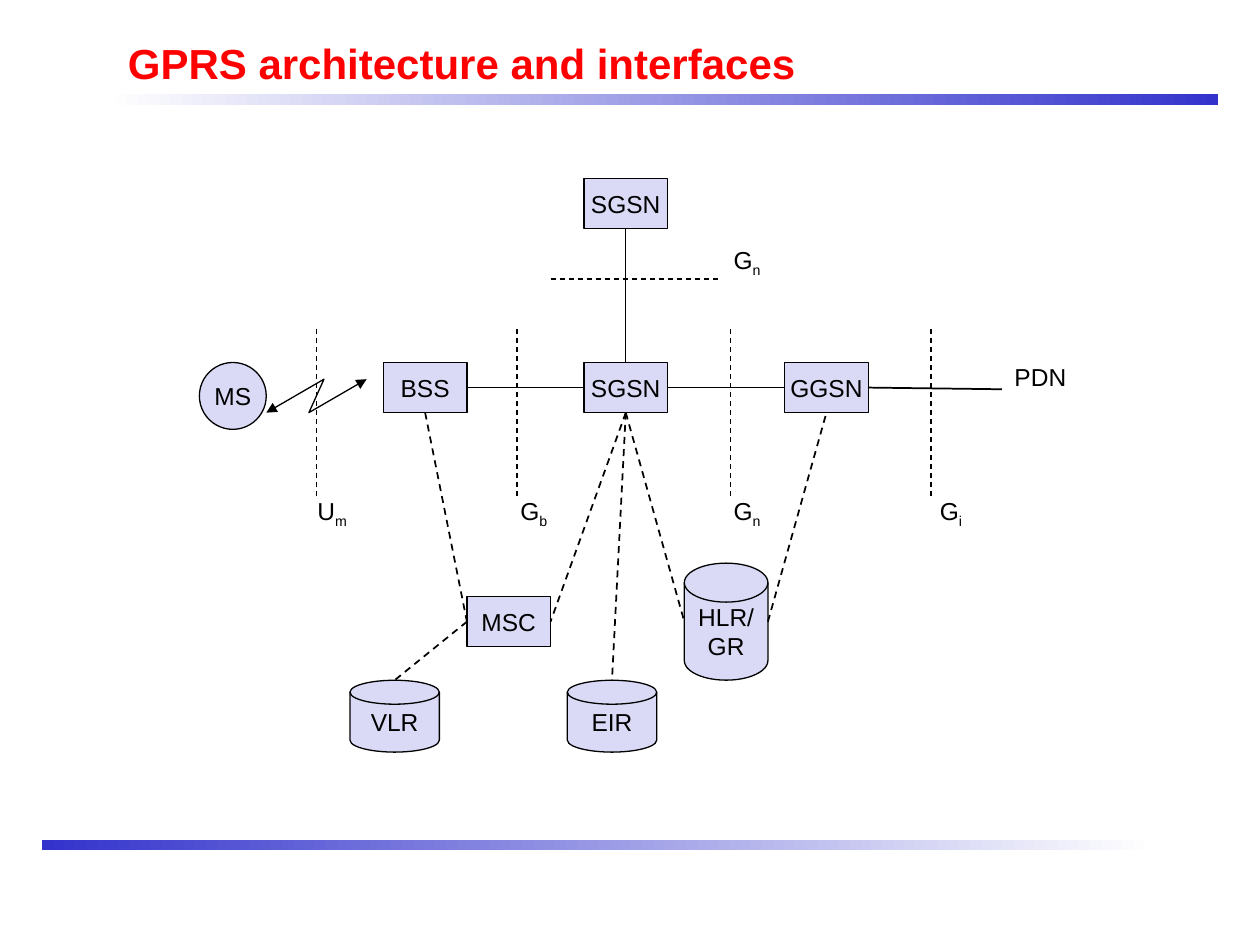
from lxml import etree
from pptx import Presentation
from pptx import util as u
from pptx.dml.color import RGBColor
from pptx.enum import dml, shapes, text
from pptx.oxml.ns import qn

BLACK = RGBColor(0x00, 0x00, 0x00)
WHITE = RGBColor(0xFF, 0xFF, 0xFF)
RED = RGBColor(0xFF, 0x00, 0x00)
BLUE = RGBColor(0x33, 0x33, 0xCC)
LAVENDER = RGBColor(0xDA, 0xDA, 0xF6)

FONT = "Arial"
RECT = shapes.MSO_SHAPE.RECTANGLE
DISK = shapes.MSO_SHAPE.FLOWCHART_MAGNETIC_DISK
TOP, LEFT, BOTTOM, RIGHT = range(4)
DIAGRAM_COLUMNS = 48  # grid units across the diagram box
LABEL_WIDTH, LABEL_HEIGHT = 4.5, 2.8  # interface labels, in grid units

# name: shape, label, then left, top, width, height in grid units
NODES = {
    "MS": (shapes.MSO_SHAPE.OVAL, "MS", 0, 11, 4, 4),
    "BSS": (RECT, "BSS", 11, 11, 5, 3),
    "SGSN": (RECT, "SGSN", 23, 11, 5, 3),
    "GGSN": (RECT, "GGSN", 35, 11, 5, 3),
    "upper SGSN": (RECT, "SGSN", 23, 0, 5, 3),
    "MSC": (RECT, "MSC", 16, 25, 5, 3),
    "HLR": (DISK, "HLR/\nGR", 29, 23, 5, 7),
    "VLR": (DISK, "VLR", 9, 30, 5.35, 4.3),
    "EIR": (DISK, "EIR", 22, 30, 5.35, 4.3),
}
# node and side at each end, width in points, dashed
LINKS = [
    ("BSS", RIGHT, "SGSN", LEFT, 0.75, False),
    ("GGSN", LEFT, "SGSN", RIGHT, 0.75, False),
    ("upper SGSN", BOTTOM, "SGSN", TOP, 0.75, False),
    ("BSS", BOTTOM, "MSC", LEFT, 1, True),
    ("MSC", LEFT, "VLR", TOP, 1, True),
    ("SGSN", BOTTOM, "MSC", RIGHT, 1, True),
    ("SGSN", BOTTOM, "EIR", TOP, 1, True),
    ("SGSN", BOTTOM, "HLR", LEFT, 1, True),
    ("HLR", RIGHT, "GGSN", BOTTOM, 1, True),
]
# letter, subscript, line start, line end, label right edge, label top
INTERFACES = [
    ("U", "m", (7, 19), (7, 9), 9.57, 18.6),
    ("G", "b", (19, 19), (19, 9), 21.55, 18.6),
    ("G", "n", (31.75, 19), (31.75, 9), 34.3, 18.6),
    ("G", "i", (43.75, 19), (43.75, 9), 46.35, 18.6),
    ("G", "n", (21, 6), (31, 6), 34.3, 3.6),
]


def add_run(paragraph, words, size=14, color=BLACK, bold=False, subscript=False):
    run = paragraph.add_run()
    run.text = words
    run.font.name, run.font.size = FONT, u.Pt(size)
    run.font.bold, run.font.color.rgb = bold, color
    if subscript:
        run._r.get_or_add_rPr().set("baseline", "-25000")


def add_label(slide, left, top, width, height, alignment):
    """Add an unwrapped text box and return its first paragraph."""
    frame = slide.shapes.add_textbox(left, top, width, height).text_frame
    frame.word_wrap = False
    paragraph = frame.paragraphs[0]
    paragraph.alignment = alignment
    return paragraph


def add_line(slide, start, end, width, dashed):
    line = slide.shapes.add_connector(shapes.MSO_CONNECTOR.STRAIGHT, *start, *end)
    line.line.color.rgb, line.line.width = BLACK, u.Pt(width)
    if dashed:
        line.line.dash_style = dml.MSO_LINE.DASH
    etree.SubElement(line._element.spPr, qn("a:effectLst"))
    return line


def add_bar(slide, left, top, width, height, colors):
    bar = slide.shapes.add_shape(RECT, left, top, width, height)
    bar.shadow.inherit = False
    bar.line.fill.background()
    bar.fill.gradient()
    bar.fill.gradient_angle = 0
    for stop, color in zip(bar.fill.gradient_stops, colors):
        stop.color.rgb = color


def add_node(slide, kind, label, left, top, width, height):
    node = slide.shapes.add_shape(kind, left, top, width, height)
    node.shadow.inherit = False
    node.fill.solid()
    node.fill.fore_color.rgb = LAVENDER
    node.line.color.rgb, node.line.width = BLACK, u.Pt(0.75)
    frame = node.text_frame
    frame.word_wrap = False
    frame.vertical_anchor = text.MSO_ANCHOR.MIDDLE
    for index, words in enumerate(label.split("\n")):
        paragraph = frame.add_paragraph() if index else frame.paragraphs[0]
        paragraph.alignment = text.PP_ALIGN.CENTER
        add_run(paragraph, words)
    return node


def side_point(node, side):
    across = {LEFT: 0, RIGHT: node.width}.get(side, node.width // 2)
    down = {TOP: 0, BOTTOM: node.height}.get(side, node.height // 2)
    return node.left + across, node.top + down


def add_link(slide, first, first_side, second, second_side, width, dashed):
    line = add_line(slide, side_point(first, first_side),
                    side_point(second, second_side), width, dashed)
    if first.auto_shape_type == RECT:
        line.begin_connect(first, first_side)
    if second.auto_shape_type == RECT:
        line.end_connect(second, second_side)


def add_radio_link(slide, points):
    builder = slide.shapes.build_freeform(*points[0], scale=1.0)
    builder.add_line_segments(points[1:], close=False)
    zigzag = builder.convert_to_shape()
    zigzag.shadow.inherit = False
    zigzag.fill.background()
    zigzag.line.color.rgb, zigzag.line.width = BLACK, u.Pt(0.75)
    outline = zigzag.line._get_or_add_ln()
    for tag in ("a:headEnd", "a:tailEnd"):
        etree.SubElement(outline, qn(tag), type="triangle")


def add_title(slide, left, top, width, height):
    paragraph = add_label(slide, left, top, width, height, text.PP_ALIGN.LEFT)
    add_run(paragraph, "GPRS architecture and interfaces", 24, RED, bold=True)


def add_diagram(slide, left, top, width):
    unit = width / DIAGRAM_COLUMNS

    def at(column, row):
        return int(left + column * unit), int(top + row * unit)

    def size(*lengths):
        return [int(length * unit) for length in lengths]

    # Network nodes and the links between them
    nodes = {name: add_node(slide, kind, label, *at(x, y), *size(w, h))
             for name, (kind, label, x, y, w, h) in NODES.items()}
    for first, first_side, second, second_side, weight, dashed in LINKS:
        add_link(slide, nodes[first], first_side, nodes[second], second_side,
                 weight, dashed)

    # Radio link between MS and BSS
    add_radio_link(slide, [at(10, 12), at(6.55, 14), at(7.45, 12), at(4, 14)])

    # External packet network
    outside = add_line(slide, side_point(nodes["GGSN"], RIGHT), at(48, 12.6), 1, False)
    outside.begin_connect(nodes["GGSN"], RIGHT)
    add_run(add_label(slide, *at(48, 10.6), *size(5, 2.56), text.PP_ALIGN.LEFT), "PDN")

    # Interface markers
    for letter, subscript, start, end, right, y in INTERFACES:
        add_line(slide, at(*start), at(*end), 0.75, True)
        paragraph = add_label(slide, *at(right - LABEL_WIDTH, y),
                              *size(LABEL_WIDTH, LABEL_HEIGHT), text.PP_ALIGN.RIGHT)
        add_run(paragraph, letter)
        add_run(paragraph, subscript, subscript=True)


def main():
    presentation = Presentation()
    presentation.slide_width, presentation.slide_height = u.Cm(25.4), u.Cm(19.05)
    slide = presentation.slides.add_slide(presentation.slide_layouts[6])
    # Header and footer bars
    add_bar(slide, u.Cm(2.12), u.Cm(1.9), u.Cm(22.44), u.Cm(0.21), (WHITE, BLUE))
    add_bar(slide, u.Cm(0.85), u.Cm(16.93), u.Cm(22.44), u.Cm(0.21), (BLUE, WHITE))
    add_title(slide, u.Cm(2.33), u.Cm(0.64), u.Cm(21.59), u.Cm(1.27))
    add_diagram(slide, u.Cm(4.02), u.Cm(3.6), u.Cm(16.18))
    presentation.save("out.pptx")


if __name__ == "__main__":
    main()
